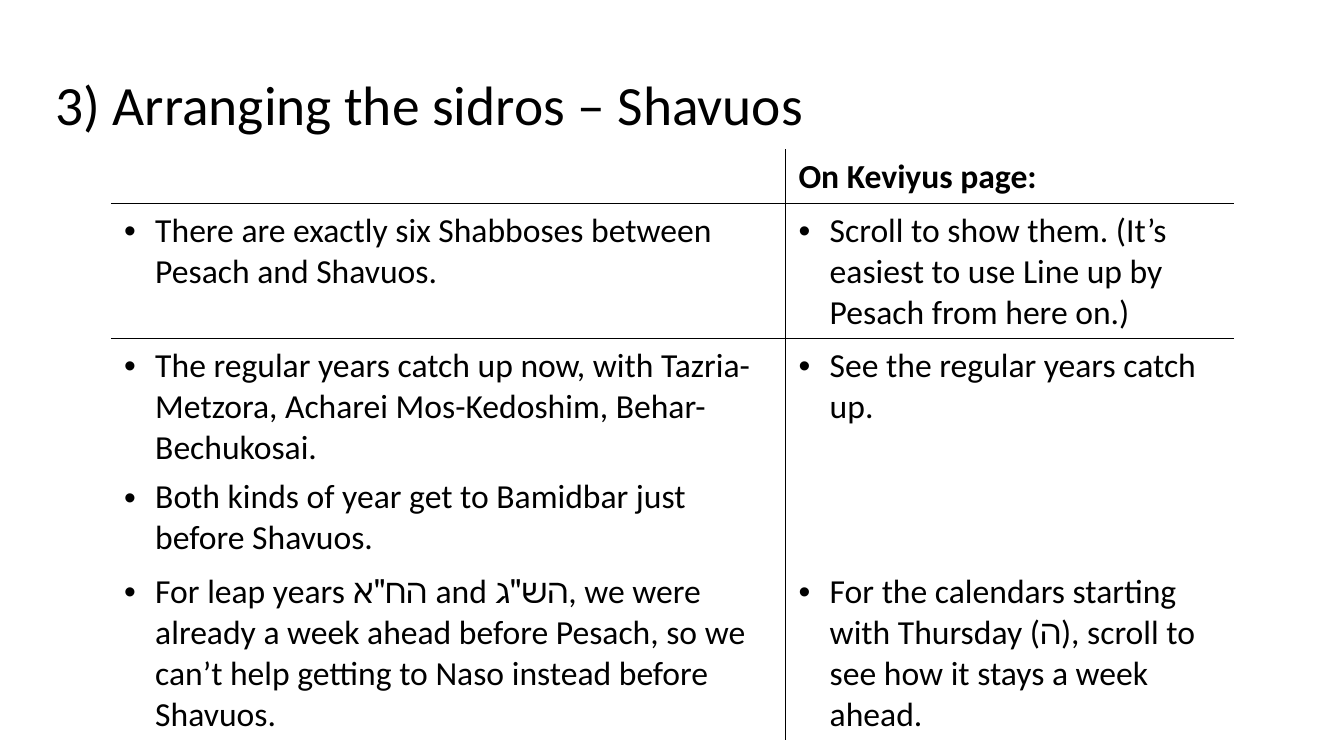
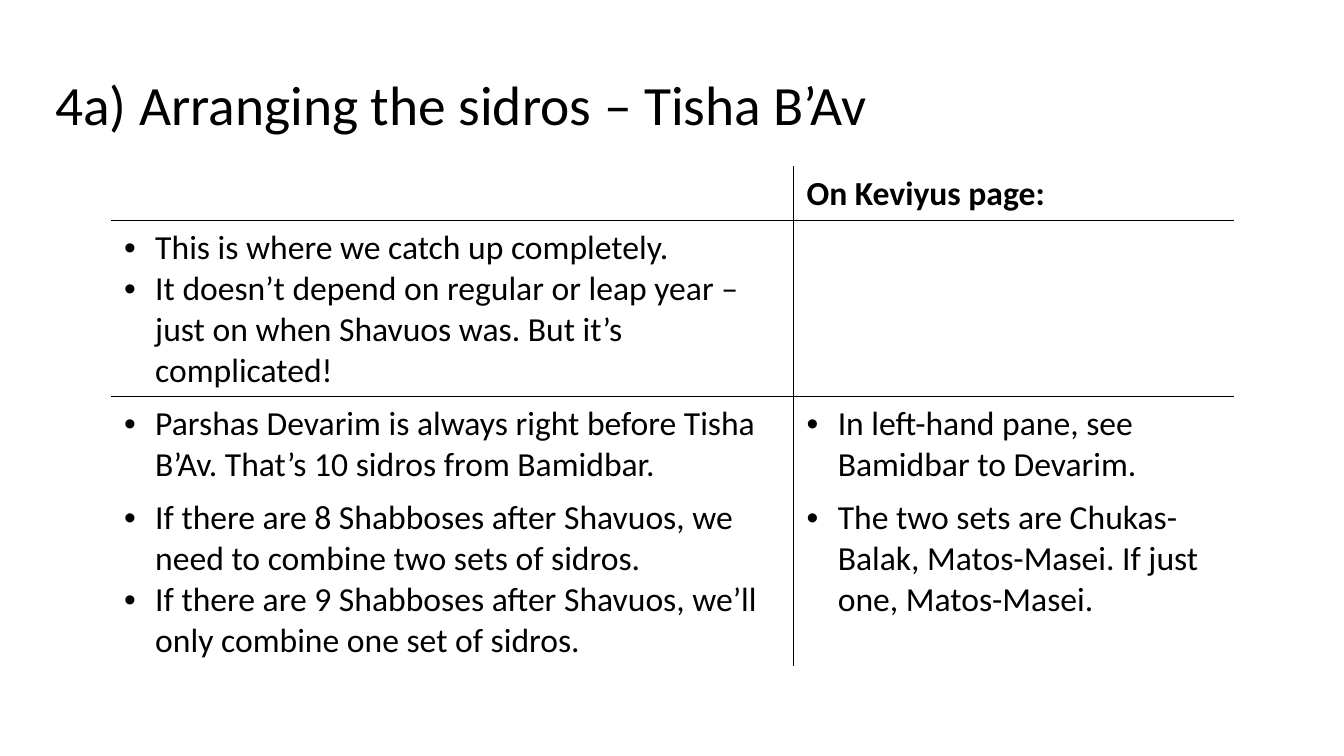
from lxml.etree import SubElement
from pptx import Presentation
from pptx.dml.color import RGBColor
from pptx.enum.text import MSO_ANCHOR
from pptx.oxml.ns import qn
from pptx.util import Inches, Pt

BLACK = RGBColor(0, 0, 0)
FONT = "Calibri"
NO_STYLE = "{2D5ABB26-0587-4C30-8999-92F81FD0307C}"
HEADER = "On Keviyus page:"


def write(tf, paragraphs, size=24, bold=False, bullet=False, spacing=None, gap=0):
    for i, text in enumerate(paragraphs):
        p = tf.paragraphs[0] if i == 0 else tf.add_paragraph()
        if spacing:
            p.line_spacing = spacing
        if i and gap:
            p.space_before = Pt(gap)
        if bullet:
            pPr = p._p.get_or_add_pPr()
            pPr.set("marL", str(Inches(0.31)))
            pPr.set("indent", str(Inches(-0.31)))
            SubElement(pPr, qn("a:buFont")).set("typeface", "Arial")
            SubElement(pPr, qn("a:buChar")).set("char", "•")
        r = p.add_run()
        r.text = text
        r.font.name = FONT
        r.font.size = Pt(size)
        r.font.bold = bold
        r.font.color.rgb = BLACK


def add_border(cell, side):
    ln = SubElement(cell._tc.get_or_add_tcPr(), qn(f"a:ln{side}"), w=str(Pt(1)))
    fill = SubElement(ln, qn("a:solidFill"))
    SubElement(fill, qn("a:srgbClr")).set("val", str(BLACK))


class Deck:
    def __init__(self):
        self.prs = Presentation()
        self.prs.slide_width = Inches(13.33)
        self.prs.slide_height = Inches(7.5)
        self.s = None

    def slide(self, title):
        self.s = self.prs.slides.add_slide(self.prs.slide_layouts[6])
        sp = self.s.shapes.add_textbox(Inches(0.45), Inches(0.65), Inches(12.42), Inches(0.84))
        tf = sp.text_frame
        tf.word_wrap = True
        tf.vertical_anchor = MSO_ANCHOR.MIDDLE
        tf.margin_left = tf.margin_right = tf.margin_top = tf.margin_bottom = Inches(0.1)
        write(tf, [title], size=39.6, spacing=0.9)

    def table(self, top, widths, heights, rows, gap=0):
        sp = self.s.shapes.add_table(len(heights), len(widths), Inches(1.1), Inches(top),
                                     Inches(sum(widths)), Inches(sum(heights)))
        table = sp.table
        table.horz_banding = False
        table._tbl.tblPr.find(qn("a:tableStyleId")).text = NO_STYLE
        for column, width in zip(table.columns, widths):
            column.width = Inches(width)
        for row, height in zip(table.rows, heights):
            row.height = Inches(height)
        for i, contents in enumerate([([], [HEADER])] + rows):
            for j, paragraphs in enumerate(contents):
                cell = table.cell(i, j)
                cell.margin_left = cell.margin_right = Inches(0.13)
                cell.margin_top = cell.margin_bottom = Inches(0.07)
                add_border(cell, "L" if j else "R")
                if i < 2:
                    add_border(cell, "T" if i else "B")
                cell.fill.background()
                write(cell.text_frame, paragraphs, bold=i == 0, bullet=i > 0, gap=gap)


deck = Deck()

deck.slide("3) Arranging the sidros – Shavuos")
deck.table(1.48, [6.69, 4.45], [0.54, 1.33, 2.24, 1.73], [
    (["There are exactly six Shabboses between Pesach and Shavuos."],
     ["Scroll to show them. (It’s easiest to use Line up by Pesach from here on.)"]),
    (["The regular years catch up now, with Tazria-Metzora, Acharei Mos-Kedoshim, Behar-Bechukosai.",
      "Both kinds of year get to Bamidbar just before Shavuos."],
     ["See the regular years catch up."]),
    (["For leap years הח\"א and הש\"ג, we were already a week ahead before Pesach, "
      "so we can’t help getting to Naso instead before Shavuos."],
     ["For the calendars starting with Thursday (ה), scroll to see how it stays a week ahead."]),
], gap=6)

deck.slide("4a) Arranging the sidros – Tisha B’Av")
deck.table(1.65, [6.77, 4.37], [0.54, 1.73, 0.93, 1.73], [
    (["This is where we catch up completely.",
      "It doesn’t depend on regular or leap year – just on when Shavuos was. But it’s complicated!"],
     []),
    (["Parshas Devarim is always right before Tisha B’Av. That’s 10 sidros from Bamidbar."],
     ["In left-hand pane, see Bamidbar to Devarim."]),
    (["If there are 8 Shabboses after Shavuos, we need to combine two sets of sidros.",
      "If there are 9 Shabboses after Shavuos, we’ll only combine one set of sidros."],
     ["The two sets are Chukas-Balak, Matos-Masei. If just one, Matos-Masei."]),
])

deck.prs.save("out.pptx")
